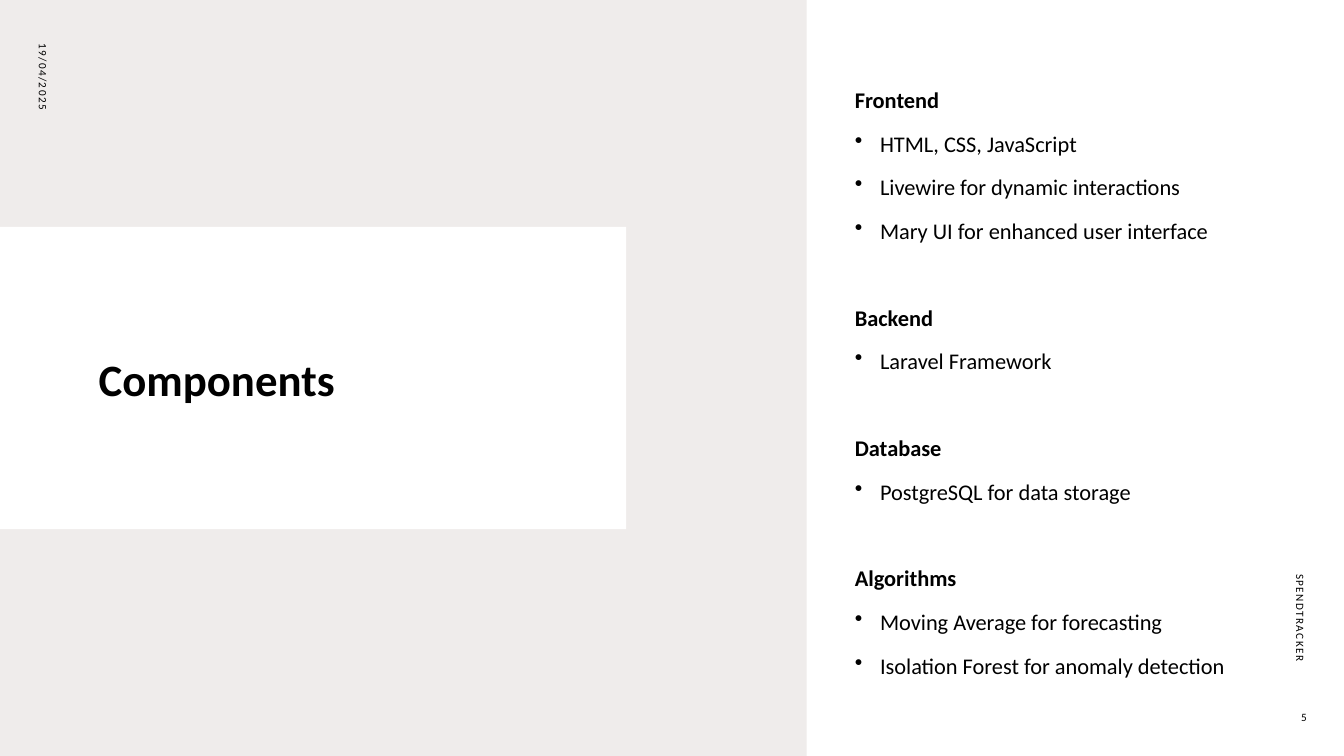
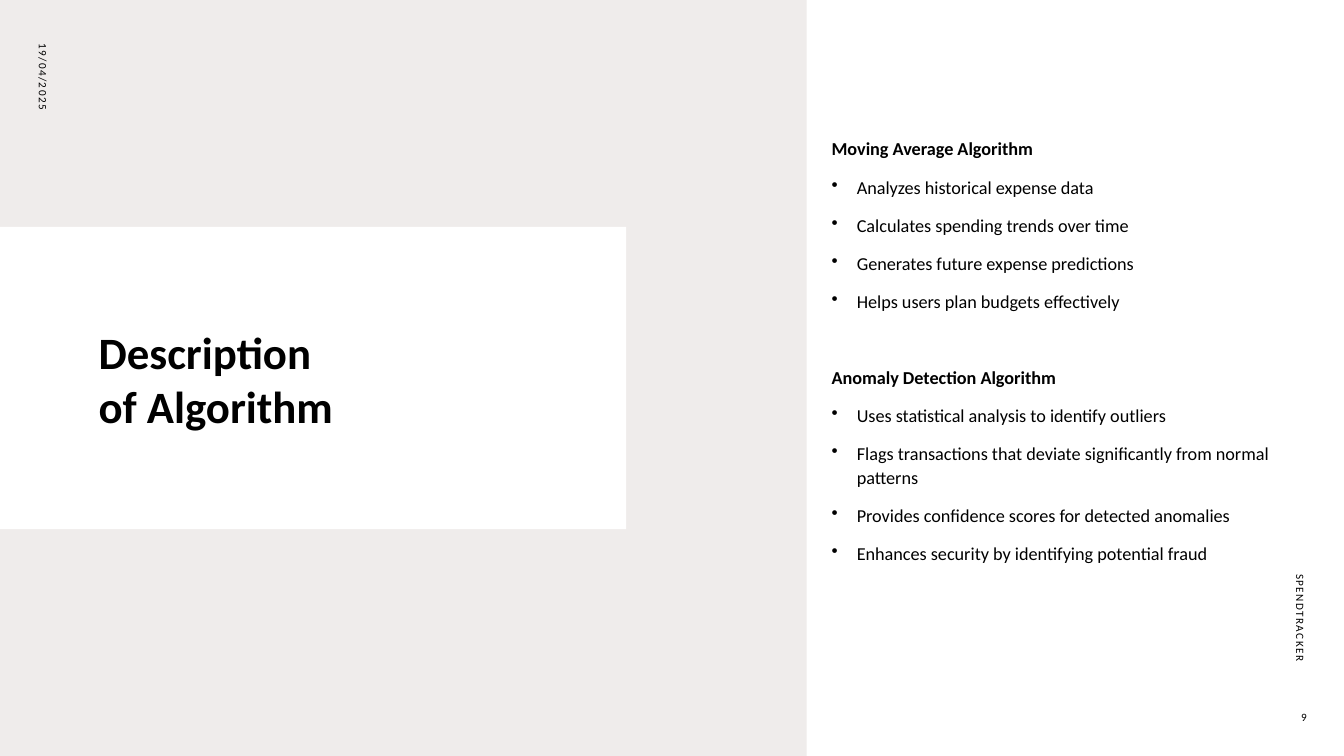
from dataclasses import dataclass

from lxml import etree
from pptx import Presentation
from pptx.dml.color import RGBColor
from pptx.enum.shapes import MSO_SHAPE
from pptx.enum.text import MSO_ANCHOR, PP_ALIGN
from pptx.oxml.ns import qn
from pptx.util import Emu, Pt

RECTANGLE = MSO_SHAPE.RECTANGLE
MIDDLE = MSO_ANCHOR.MIDDLE
LEFT, RIGHT = PP_ALIGN.LEFT, PP_ALIGN.RIGHT

EMU_PER_PX = 9144  # 100 px to the inch
FONT = "Calibri"
COLORS = {"panel": "EFECEB", "card": "FFFFFF", "text": "000000"}
BULLET_INDENT = 25
LINE_SPACING = 1.1
SPACE_BEFORE = 10
LINE_RATIO = 1.315  # drawn line height per point of type


@dataclass(frozen=True)
class Box:
    left: int
    top: int
    width: int
    height: int


@dataclass(frozen=True)
class Marginal:
    box: Box
    align: PP_ALIGN
    rotation: int = 0


@dataclass(frozen=True)
class Section:
    heading: str
    points: tuple[str, ...]


@dataclass(frozen=True)
class Page:
    title: str
    number: int
    body: Box
    size: int
    sections: tuple[Section, ...]


# Shared layout
SLIDE = Box(0, 0, 1333, 750)
PANEL = Box(0, 0, 800, 750)
TITLE_CARD = Box(0, 225, 621, 300)
TITLE = Box(88, 268, 460, 216)
DATE = Marginal(Box(-110, 166, 306, 40), LEFT, 90)
FOOTER = Marginal(Box(1107, 463, 366, 40), RIGHT, 90)
PAGE_NUMBER = Marginal(Box(1228, 691, 78, 40), RIGHT)
DATE_TEXT = "19/04/2025"
FOOTER_TEXT = "SPENDTRACKER"

# Content
PAGES = (
    Page("Components", 5, Box(838, 33, 431, 690), 16, (
        Section("Frontend", (
            "HTML, CSS, JavaScript",
            "Livewire for dynamic interactions",
            "Mary UI for enhanced user interface",
        )),
        Section("Backend", ("Laravel Framework",)),
        Section("Database", ("PostgreSQL for data storage",)),
        Section("Algorithms", (
            "Moving Average for forecasting",
            "Isolation Forest for anomaly detection",
        )),
    )),
    Page("Description\vof Algorithm", 9, Box(815, 19, 454, 656), 13, (
        Section("Moving Average Algorithm", (
            "Analyzes historical expense data",
            "Calculates spending trends over time",
            "Generates future expense predictions",
            "Helps users plan budgets effectively",
        )),
        Section("Anomaly Detection Algorithm", (
            "Uses statistical analysis to identify outliers",
            "Flags transactions that deviate significantly from normal patterns",
            "Provides confidence scores for detected anomalies",
            "Enhances security by identifying potential fraud",
        )),
    )),
)


def px(length: int) -> Emu:
    return Emu(length * EMU_PER_PX)


def place(box: Box) -> tuple[Emu, ...]:
    return px(box.left), px(box.top), px(box.width), px(box.height)


def add_band(slide, box: Box, color: str) -> None:
    band = slide.shapes.add_shape(RECTANGLE, *place(box))
    band.shadow.inherit = False
    band.fill.solid()
    band.fill.fore_color.rgb = RGBColor.from_string(COLORS[color])
    band.line.fill.background()


def add_text_box(slide, box: Box, rotation: int = 0):
    text_box = slide.shapes.add_textbox(*place(box))
    text_box.rotation = rotation
    frame = text_box.text_frame
    frame.word_wrap = True
    frame.vertical_anchor = MIDDLE
    return frame


def write(paragraph, text: str, size: int, bold: bool = False) -> None:
    paragraph.text = text
    font = paragraph.font
    font.name = FONT
    font.size = Pt(size)
    font.bold = bold
    font.color.rgb = RGBColor.from_string(COLORS["text"])


def add_bullet(paragraph) -> None:
    properties = paragraph._p.get_or_add_pPr()
    properties.set("marL", str(px(BULLET_INDENT)))
    properties.set("indent", str(-px(BULLET_INDENT)))
    bullet = etree.Element(qn("a:buChar"), char="•")
    properties.find(qn("a:defRPr")).addprevious(bullet)


def add_marginal(slide, marginal: Marginal, text: str) -> None:
    paragraph = add_text_box(slide, marginal.box, marginal.rotation).paragraphs[0]
    write(paragraph, text, 8)
    paragraph.alignment = marginal.align
    paragraph.space_after = Pt(6)
    paragraph.runs[0]._r.get_or_add_rPr().set("spc", "100")


def add_sections(slide, page: Page) -> None:
    frame = add_text_box(slide, page.body)
    section_gap = round(2 * SPACE_BEFORE + LINE_RATIO * page.size)
    paragraph = frame.paragraphs[0]
    for index, section in enumerate(page.sections):
        if index:
            paragraph = frame.add_paragraph()
        write(paragraph, section.heading, page.size, bold=True)
        paragraph.space_before = Pt(section_gap if index else SPACE_BEFORE)
        for point in section.points:
            paragraph = frame.add_paragraph()
            write(paragraph, point, page.size)
            paragraph.space_before = Pt(SPACE_BEFORE)
            add_bullet(paragraph)
    for paragraph in frame.paragraphs:
        paragraph.line_spacing = LINE_SPACING


def add_page(deck, page: Page) -> None:
    slide = deck.slides.add_slide(deck.slide_layouts[6])
    # Background panel and title card
    add_band(slide, PANEL, "panel")
    add_band(slide, TITLE_CARD, "card")
    write(add_text_box(slide, TITLE).paragraphs[0], page.title, 32, bold=True)
    # Body
    add_sections(slide, page)
    # Date, footer and page number
    add_marginal(slide, DATE, DATE_TEXT)
    add_marginal(slide, FOOTER, FOOTER_TEXT)
    add_marginal(slide, PAGE_NUMBER, str(page.number))


def main() -> None:
    deck = Presentation()
    deck.slide_width, deck.slide_height = px(SLIDE.width), px(SLIDE.height)
    for page in PAGES:
        add_page(deck, page)
    deck.save("out.pptx")


if __name__ == "__main__":
    main()
